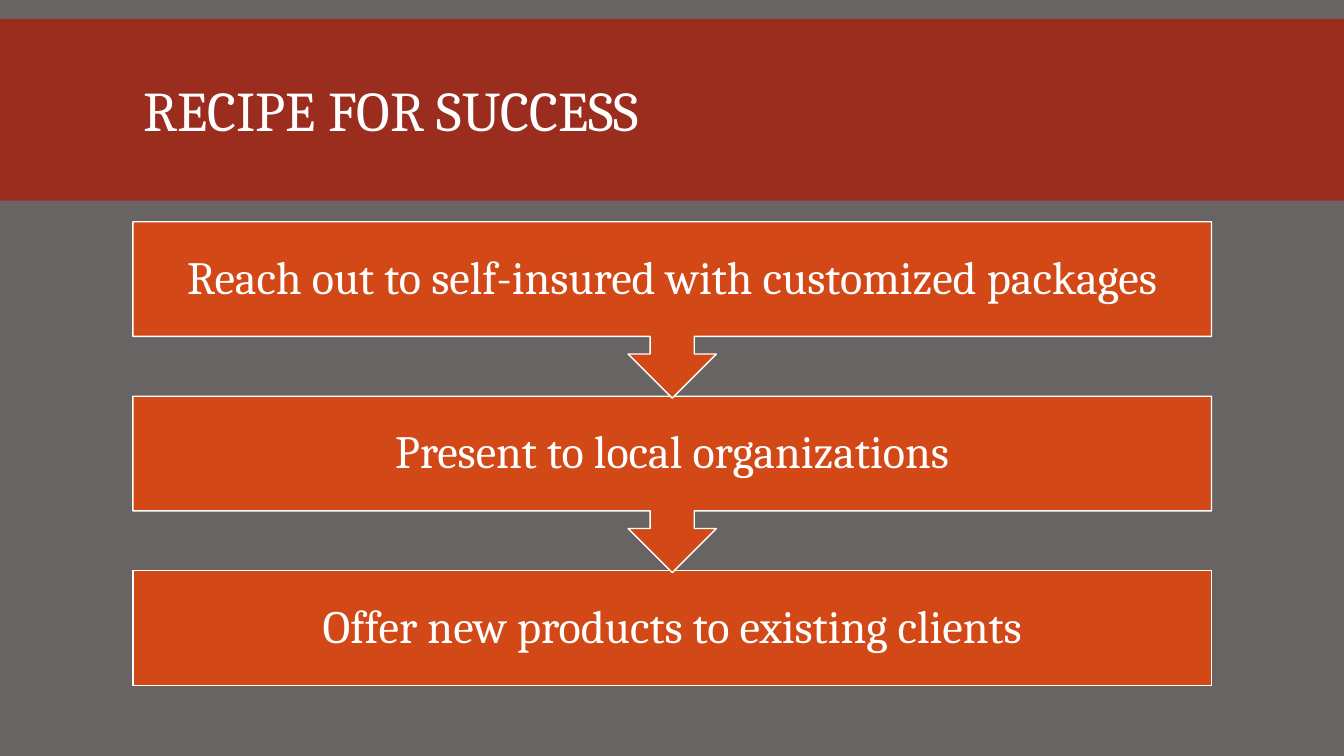
from dataclasses import dataclass

from pptx import Presentation
from pptx.dml.color import RGBColor
from pptx.enum.shapes import MSO_SHAPE
from pptx.enum.text import MSO_ANCHOR, PP_ALIGN
from pptx.util import Pt


@dataclass(frozen=True)
class Theme:
    font: str = "Cambria"
    title_size: int = 40
    step_size: int = 33
    background: RGBColor = RGBColor(0x69, 0x64, 0x64)
    band: RGBColor = RGBColor(0x9B, 0x2D, 0x1F)
    step: RGBColor = RGBColor(0xD3, 0x48, 0x17)
    light: RGBColor = RGBColor(0xFF, 0xFF, 0xFF)


THEME = Theme()
SLIDE_WIDTH = 960
SLIDE_HEIGHT = 540
CONTENT_LEFT = 95
CONTENT_WIDTH = 770.4
FIRST_STEP_TOP = 158.4
STEP_PITCH = 124.6
BOX_HEIGHT = 82
CALLOUT_HEIGHT = 126
STEP_INSET = 18.7

STEPS = [
    "Reach out to self-insured with customized packages",
    "Present to local organizations",
    "Offer new products to existing clients",
]


def write_text(text_frame, text, size, alignment, line_spacing):
    text_frame.word_wrap = True
    text_frame.vertical_anchor = MSO_ANCHOR.MIDDLE
    paragraph = text_frame.paragraphs[0]
    paragraph.alignment = alignment
    paragraph.line_spacing = line_spacing
    run = paragraph.add_run()
    run.text = text
    run.font.name = THEME.font
    run.font.size = Pt(size)
    run.font.color.rgb = THEME.light


def add_filled_shape(slide, kind, left, top, width, height, color):
    shape = slide.shapes.add_shape(kind, Pt(left), Pt(top), Pt(width), Pt(height))
    shape.shadow.inherit = False
    shape.fill.solid()
    shape.fill.fore_color.rgb = color
    shape.line.fill.background()
    return shape


def add_title(slide, text):
    title = slide.shapes.title
    title.left, title.top = Pt(CONTENT_LEFT), Pt(22.3)
    title.width, title.height = Pt(CONTENT_WIDTH), Pt(118.8)
    write_text(title.text_frame, text, THEME.title_size, PP_ALIGN.LEFT, 0.85)
    band = add_filled_shape(
        slide, MSO_SHAPE.RECTANGLE, 0, 13.7, SLIDE_WIDTH, 129.6, THEME.band
    )
    title.element.addprevious(band.element)


def add_step(slide, text, top, is_last):
    kind = MSO_SHAPE.RECTANGLE if is_last else MSO_SHAPE.DOWN_ARROW_CALLOUT
    height = BOX_HEIGHT if is_last else CALLOUT_HEIGHT
    step = add_filled_shape(
        slide, kind, CONTENT_LEFT, top, CONTENT_WIDTH, height, THEME.step
    )
    step.line.color.rgb = THEME.light
    step.line.width = Pt(1)
    text_frame = step.text_frame
    text_frame.margin_left = text_frame.margin_right = Pt(STEP_INSET)
    text_frame.margin_top = text_frame.margin_bottom = Pt(STEP_INSET)
    write_text(text_frame, text, THEME.step_size, PP_ALIGN.CENTER, 0.9)


def main():
    presentation = Presentation()
    presentation.slide_width = Pt(SLIDE_WIDTH)
    presentation.slide_height = Pt(SLIDE_HEIGHT)
    slide = presentation.slides.add_slide(presentation.slide_layouts[5])
    slide.background.fill.solid()
    slide.background.fill.fore_color.rgb = THEME.background

    add_title(slide, "RECIPE FOR SUCCESS")
    last = len(STEPS) - 1
    for index, text in reversed(list(enumerate(STEPS))):
        add_step(slide, text, FIRST_STEP_TOP + index * STEP_PITCH, index == last)

    presentation.save("out.pptx")


main()
